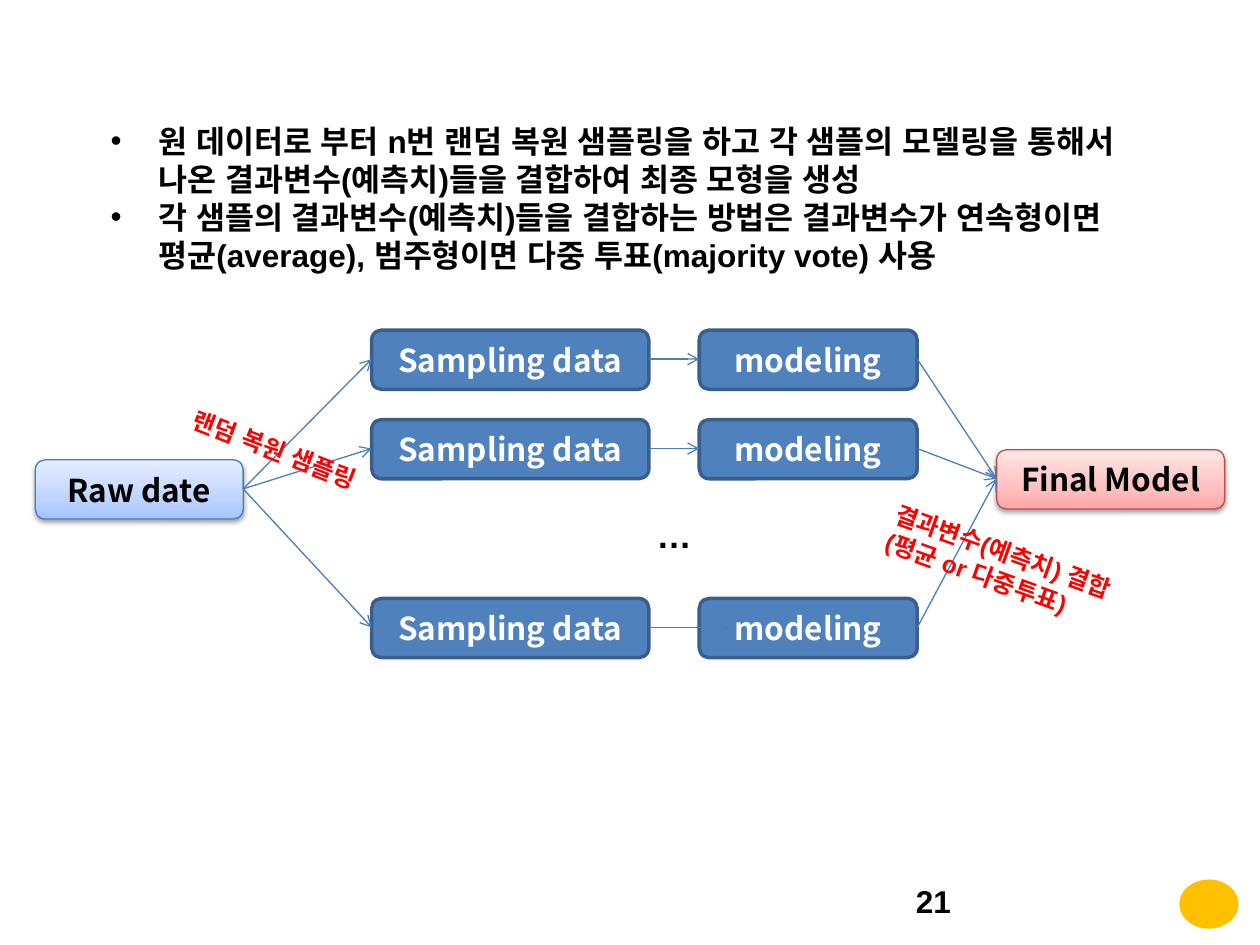
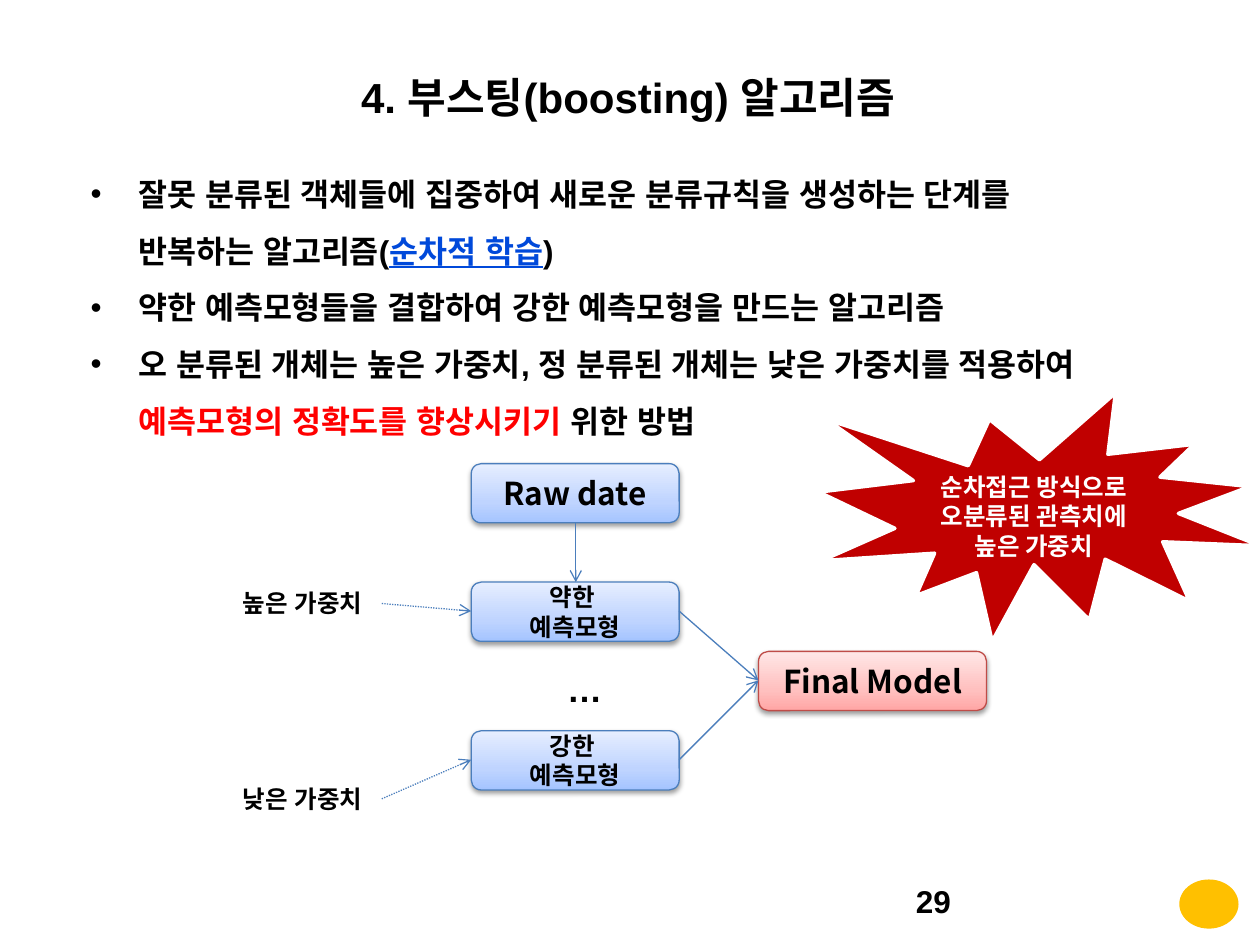
from dataclasses import dataclass

from lxml import etree
from pptx import Presentation
from pptx.dml.color import RGBColor
from pptx.enum.dml import MSO_LINE
from pptx.enum.shapes import MSO_CONNECTOR, MSO_SHAPE
from pptx.enum.text import MSO_ANCHOR, MSO_AUTO_SIZE, PP_ALIGN
from pptx.oxml.ns import qn
from pptx.util import Pt

ROUND, OVAL, BURST = MSO_SHAPE.ROUNDED_RECTANGLE, MSO_SHAPE.OVAL, MSO_SHAPE.EXPLOSION1
STRAIGHT, DOTS = MSO_CONNECTOR.STRAIGHT, MSO_LINE.ROUND_DOT
LEFT, MID, RIGHT = PP_ALIGN.LEFT, PP_ALIGN.CENTER, PP_ALIGN.RIGHT
TOP, CENTER = MSO_ANCHOR.TOP, MSO_ANCHOR.MIDDLE
GROW = MSO_AUTO_SIZE.SHAPE_TO_FIT_TEXT

PX = 9144  # 100 px to the inch
LATIN, HANGUL = "Arial", "Noto Sans CJK KR"
COLORS = {
    "black": "000000", "white": "FFFFFF", "red": "FF0000", "link": "0049DA",
    "blue": "4F81BD", "navy": "3A5F8C", "wire": "4B7EBC", "rose": "BF4C48",
    "gold": "FFC000", "wine": "C00000",
}
# Gradient stops from bottom to top
FADES = {
    "sky": ((0, "A4C4FF"), (35, "BFD4FF"), (100, "E6EEFF")),
    "pink": ((0, "FFA6A5"), (35, "FFC0BF"), (100, "FFE7E7")),
}


@dataclass(frozen=True)
class Span:
    text: str
    color: str = "black"
    under: bool = False


@dataclass(frozen=True)
class Look:
    fill: str
    line: str = ""
    width: float = 0.75
    ink: str = "black"


@dataclass(frozen=True)
class Node:
    x: int
    y: int
    w: int
    h: int
    lines: tuple
    look: Look
    size: int = 18

    @property
    def start(self) -> tuple:
        return self.x, self.y + self.h // 2

    @property
    def end(self) -> tuple:
        return self.x + self.w, self.y + self.h // 2


@dataclass(frozen=True)
class Note:
    x: int
    y: int
    w: int
    h: int
    lines: tuple
    size: int = 18
    align: PP_ALIGN = LEFT
    ink: str = "black"
    turn: float = 0
    bullet: bool = False
    space: float = 1
    grow: bool = True


RAW = Look("sky", "wire")
STEP = Look("blue", "navy", 2, "white")
FINAL = Look("pink", "rose")
ALERT = Look("wine", "white", 2, "white")


def rgb(key: str) -> RGBColor:
    return RGBColor.from_string(COLORS[key])


def add(parent, tag: str, **attrs):
    return etree.SubElement(parent, qn(tag), {k: str(v) for k, v in attrs.items()})


def write(frame, lines: tuple, size: int, ink: str, align, font: str,
          bullet: bool = False, space: float = 1) -> None:
    """Fill a text frame; a line is a string or a tuple of spans."""
    for i, line in enumerate(lines):
        para = frame.paragraphs[0] if i == 0 else frame.add_paragraph()
        para.alignment = align
        if space != 1:
            para.line_spacing = space
        if bullet:
            props = para._p.get_or_add_pPr()
            props.set("marL", str(38 * PX))
            props.set("indent", str(-38 * PX))
            add(props, "a:buFont", typeface=LATIN)
            add(props, "a:buChar", char="•")
        face = para.font
        face.name, face.size, face.bold = font, Pt(size), True
        face.color.rgb = rgb(ink)
        add(face._element, "a:ea", typeface=font)
        for span in (Span(line, ink),) if isinstance(line, str) else line:
            run = para.add_run()
            run.text = span.text
            if span.color != ink:
                run.font.color.rgb = rgb(span.color)
            if span.under:
                run.font.underline = True


def fade(shape, stops: tuple) -> None:
    """Give a shape a vertical gradient and a soft shadow."""
    shape.fill.gradient()
    shape.fill.gradient_angle = 90
    props = shape._element.spPr
    marks = props.find(qn("a:gradFill")).find(qn("a:gsLst"))
    for old in list(marks):
        marks.remove(old)
    for pos, tone in stops:
        add(add(marks, "a:gs", pos=pos * 1000), "a:srgbClr", val=tone)
    shade = add(props.find(qn("a:effectLst")), "a:outerShdw", blurRad=Pt(3.1),
                dist=Pt(1.6), dir=5400000, rotWithShape=0)
    add(add(shade, "a:srgbClr", val=COLORS["black"]), "a:alpha", val=38000)


def draw(slide, node: Node, kind=ROUND, anchor=CENTER) -> None:
    shape = slide.shapes.add_shape(kind, *(v * PX for v in (node.x, node.y, node.w, node.h)))
    look = node.look
    if look.line:
        shape.line.color.rgb = rgb(look.line)
        shape.line.width = Pt(look.width)
    else:
        shape.line.fill.background()
    shape.shadow.inherit = False
    if look.fill in FADES:
        fade(shape, FADES[look.fill])
    else:
        shape.fill.solid()
        shape.fill.fore_color.rgb = rgb(look.fill)
    shape.text_frame.vertical_anchor = anchor
    write(shape.text_frame, node.lines, node.size, look.ink, MID, HANGUL)


def label(slide, note: Note) -> None:
    box = slide.shapes.add_textbox(*(v * PX for v in (note.x, note.y, note.w, note.h)))
    box.rotation = note.turn
    frame = box.text_frame
    frame.word_wrap = True
    if note.grow:
        frame.auto_size = GROW
    write(frame, note.lines, note.size, note.ink, note.align, LATIN, note.bullet, note.space)


def link(slide, start: tuple, end: tuple, dots: bool = False) -> None:
    wire = slide.shapes.add_connector(STRAIGHT, *(v * PX for v in start + end))
    wire.line.color.rgb = rgb("wire")
    wire.line.width = Pt(0.75)
    if dots:
        wire.line.dash_style = DOTS
    add(wire.line._get_or_add_ln(), "a:tailEnd", type="arrow")
    add(wire._element.spPr, "a:effectLst")


def foot(slide, page: int) -> None:
    draw(slide, Node(936, 698, 47, 39, (), Look("gold")), OVAL)
    label(slide, Note(717, 695, 233, 40, (str(page),), grow=False))


def raw(x: int, y: int) -> Node:
    return Node(x, y, 165, 47, ("Raw date",), RAW)


def final(x: int, y: int) -> Node:
    return Node(x, y, 181, 47, ("Final Model",), FINAL)


def dots(slide, x: int, y: int) -> None:
    label(slide, Note(x, y, 102, 44, ("…",), 20, MID))


def bagging(slide) -> None:
    label(slide, Note(78, 92, 823, 131, (
        "원 데이터로 부터 n번 랜덤 복원 샘플링을 하고 각 샘플의 모델링을 "
        "통해서 나온 결과변수(예측치)들을 결합하여 최종 모형을 생성",
        "각 샘플의 결과변수(예측치)들을 결합하는 방법은 결과변수가 "
        "연속형이면 평균(average), 범주형이면 다중 투표(majority vote) 사용",
    ), bullet=True))

    # Parallel samples and their models
    source, goal = raw(28, 365), final(791, 357)
    draw(slide, source)
    draw(slide, goal)
    for y, reach in ((262, 0), (333, 0), (475, 24)):
        sample = Node(295, y, 220, 47, ("Sampling data",), STEP)
        model = Node(555, y, 173, 47, ("modeling",), STEP)
        draw(slide, sample)
        draw(slide, model)
        link(slide, source.end, sample.start)
        link(slide, sample.end, (model.x + reach, model.start[1]))
        link(slide, model.end, goal.start)

    # Slanted remarks
    label(slide, Note(139, 344, 178, 34, ("랜덤 복원 샘플링",), 14, ink="red", turn=21.3))
    label(slide, Note(692, 423, 216, 57, ("결과변수(예측치) 결합", "(평균 or 다중투표)"),
                      14, ink="red", turn=19.8))
    dots(slide, 484, 403)
    foot(slide, 21)


def boosting(slide) -> None:
    label(slide, Note(62, 119, 831, 237, (
        (Span("잘못 분류된 객체들에 집중하여 새로운 분류규칙을 생성하는 단계를 반복하는 알고리즘("),
         Span("순차적 학습", "link", True), Span(")")),
        "약한 예측모형들을 결합하여 강한 예측모형을 만드는 알고리즘",
        (Span("오 분류된 개체는 높은 가중치, 정 분류된 개체는 낮은 가중치를 적용하여 "),
         Span("예측모형의 정확도를 향상시키기 ", "red"), Span("위한 방법")),
    ), bullet=True, space=1.5))
    label(slide, Note(47, 52, 903, 50, ("4. 부스팅(boosting) 알고리즘",), 24, MID))

    # Weighted models joined into one
    source, goal = raw(374, 368), final(602, 517)
    draw(slide, source)
    draw(slide, goal)
    link(slide, (457, 415), (457, 462))
    for y, name, weight, top in ((462, "약한 ", "높은 가중치 ", 462),
                                 (580, "강한 ", "낮은 가중치 ", 617)):
        model = Node(374, y, 165, 47, (name, "예측모형"), RAW, 14)
        draw(slide, model)
        link(slide, model.end, goal.start)
        label(slide, Note(161, top, 142, 34, (weight,), 14, RIGHT))
        link(slide, (303, top + 17), model.start, True)
    dots(slide, 413, 525)
    foot(slide, 29)

    # Burst with the key point
    draw(slide, Node(650, 312, 350, 197, (
        "순차접근 방식으로 ", "오분류된 관측치에 ", "높은 가중치 "), ALERT, 14), BURST, TOP)


def main() -> None:
    deck = Presentation()
    deck.slide_width, deck.slide_height = 1000 * PX, 750 * PX
    for build in (bagging, boosting):
        build(deck.slides.add_slide(deck.slide_layouts[6]))
    deck.save("out.pptx")


if __name__ == "__main__":
    main()
